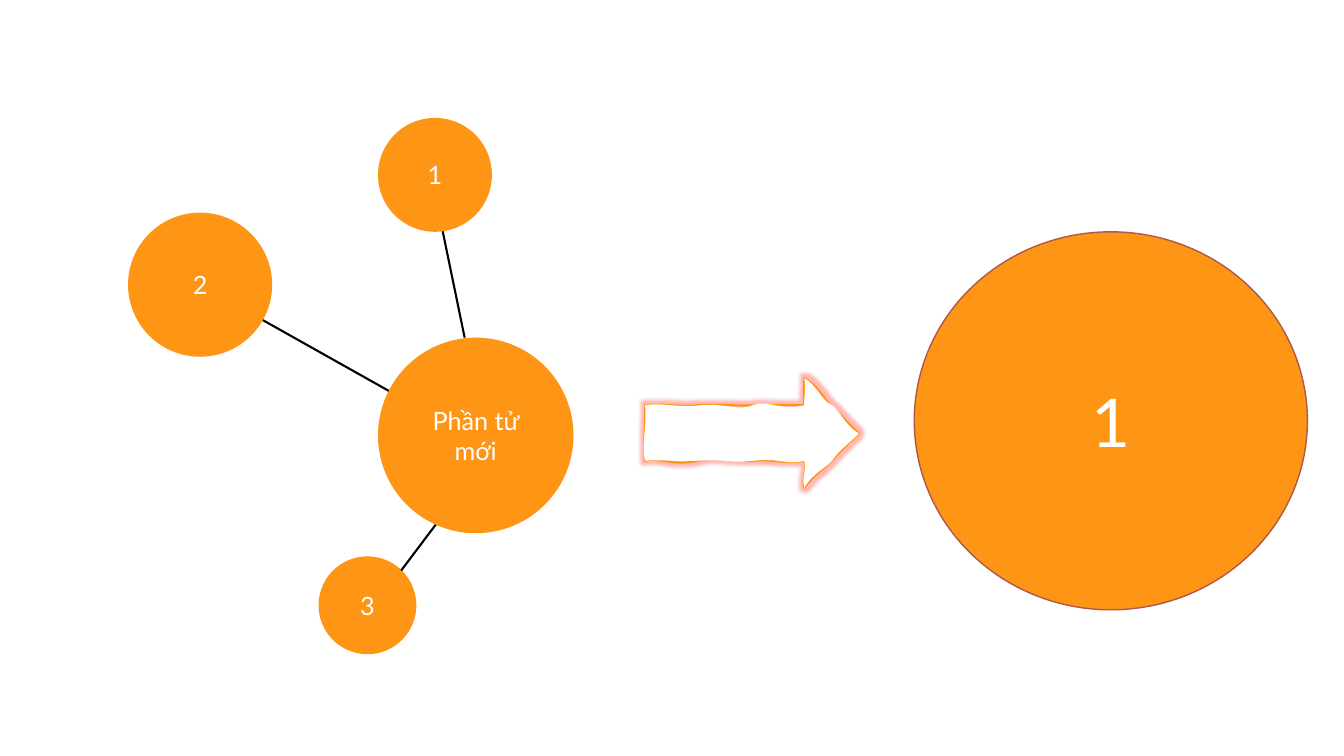
from lxml.etree import SubElement
from pptx import Presentation
from pptx.dml.color import RGBColor
from pptx.enum.shapes import MSO_CONNECTOR, MSO_SHAPE
from pptx.enum.text import MSO_ANCHOR, PP_ALIGN
from pptx.oxml.ns import qn
from pptx.util import Inches, Pt

ORANGE = RGBColor(0xFF, 0x95, 0x14)
BROWN = RGBColor(0xB0, 0x57, 0x48)
BLACK = RGBColor(0, 0, 0)
WHITE = RGBColor(0xFF, 0xFF, 0xFF)
GLOW = RGBColor(0xFF, 0x50, 0x44)

COLUMNS, ROWS = 133.33, 75

ARROW_START = (64, 40.2)
ARROW_OUTLINE = [
    (65.6, 40, 67.4, 40.4, 69.4, 40.2), (71.4, 40.1, 73.4, 40.3, 75, 40.2),
    (76.6, 40.2, 77.7, 40.2, 79.8, 40.2), (79.7, 39.1, 79.8, 38.4, 79.8, 37.5),
    (81.3, 38.5, 81.5, 39.2, 82.3, 40.1), (83.2, 40.9, 83.8, 41.7, 85.2, 43),
    (84.3, 43.9, 83.6, 44.5, 82.6, 45.6), (81.6, 46.7, 80.7, 47.1, 79.8, 48.4),
    (79.5, 47.3, 80.1, 46.8, 79.8, 45.7), (78.1, 46.1, 76.4, 45.5, 74.8, 45.7),
    (73.3, 45.9, 71.9, 45.1, 69.3, 45.7), (66.6, 46.3, 65.5, 45.3, 64, 45.7),
    (63.8, 43, 64.1, 42.7, 64, 40.2),
]
ARROW_INTERIOR = [
    (65.7, 39.9, 67.2, 40.5, 69.6, 40.2), (72, 40, 73.3, 40.8, 74.7, 40.2),
    (76, 39.6, 77.5, 40.8, 79.8, 40.2), (79.7, 39.6, 80, 38.7, 79.8, 37.5),
    (81.1, 38.3, 81.5, 39.7, 82.4, 40.1), (83.3, 40.6, 83.7, 42.1, 85.2, 43),
    (84.6, 43.7, 83.2, 44.7, 82.7, 45.5), (82.1, 46.4, 80.6, 46.9, 79.8, 48.4),
    (79.5, 47.2, 80, 46.9, 79.8, 45.7), (78.1, 46.2, 77.3, 45.4, 74.8, 45.7),
    (72.4, 46, 72, 45.5, 69.4, 45.7), (66.9, 45.8, 66, 45.6, 64, 45.7),
    (63.6, 44.3, 64.2, 42.3, 64, 40.2),
]


def write_text(shape, text, size=18, color=WHITE, font="Lato", align=PP_ALIGN.CENTER):
    """Write one formatted paragraph into a shape."""
    frame = shape.text_frame
    frame.word_wrap = True
    frame.vertical_anchor = MSO_ANCHOR.MIDDLE
    paragraph = frame.paragraphs[0]
    paragraph.alignment = align
    run = paragraph.add_run()
    run.text = text
    run.font.size = Pt(size)
    run.font.name = font
    run.font.color.rgb = color


class Board:
    """Hold the current slide, its grid and its element styles."""

    def __init__(self, presentation):
        self.slide = presentation.slides.add_slide(presentation.slide_layouts[6])
        self.column = presentation.slide_width / COLUMNS
        self.row = presentation.slide_height / ROWS

    def place(self, x, y):
        return round(x * self.column), round(y * self.row)

    def paint(self, shape, fill, line=None, width=1):
        shape.shadow.inherit = False
        shape.fill.solid()
        shape.fill.fore_color.rgb = fill
        if line is None:
            shape.line.fill.background()
        else:
            shape.line.color.rgb = line
            shape.line.width = Pt(width)

    def circle(self, shapes, text, center, width, height=None, size=18, line=None):
        height = height or width
        x, y = center
        shape = shapes.add_shape(
            MSO_SHAPE.OVAL,
            *self.place(x - width / 2, y - height / 2),
            *self.place(width, height),
        )
        self.paint(shape, ORANGE, line=line)
        write_text(shape, text, size=size)

    def link(self, shapes, start, end):
        connector = shapes.add_connector(
            MSO_CONNECTOR.STRAIGHT, *self.place(*start), *self.place(*end)
        )
        connector.line.color.rgb = BLACK
        connector.line.width = Pt(1.5)
        SubElement(connector._element.spPr, qn("a:effectLst"))

    def sketch(self, start, layers, fill, line, width):
        builder = self.slide.shapes.build_freeform(*self.place(*start))
        corners = [self.place(*curve[4:]) for curve in layers[0][0]]
        builder.add_line_segments(corners, close=True)
        shape = builder.convert_to_shape()
        self.paint(shape, fill, line=line, width=width)
        contours = next(shape._element.iter(qn("a:pathLst")))
        contours.remove(contours[0])
        for curves, options in layers:
            contour = SubElement(
                contours, qn("a:path"), w=str(shape.width), h=str(shape.height), **options
            )
            self.segment(contour, shape, "a:moveTo", start)
            for curve in curves:
                self.segment(contour, shape, "a:cubicBezTo", curve)
            SubElement(contour, qn("a:close"))
        return shape

    def segment(self, contour, shape, kind, values):
        segment = SubElement(contour, qn(kind))
        for point in zip(values[::2], values[1::2]):
            x, y = self.place(*point)
            SubElement(segment, qn("a:pt"), x=str(x - shape.left), y=str(y - shape.top))

    def glow(self, shape, color, radius):
        effects = shape._element.spPr.find(qn("a:effectLst"))
        glow = SubElement(effects, qn("a:glow"), rad=str(Pt(radius)))
        tint = SubElement(glow, qn("a:srgbClr"), val=str(color))
        SubElement(tint, qn("a:alpha"), val="40000")


def main():
    """Build the slide and save it."""
    presentation = Presentation()
    presentation.slide_width = Inches(13.33)
    presentation.slide_height = Inches(7.5)
    board = Board(presentation)
    cluster = board.slide.shapes.add_group_shape().shapes

    board.link(cluster, (24.9, 31.1), (39.5, 39.3))
    board.link(cluster, (43.7, 21.9), (46.1, 33.5))
    for text, center, diameter in [
        ("2", (19.85, 28.25), 14.3),
        ("1", (43.15, 17.35), 11.3),
        ("3", (36.45, 60.05), 9.7),
    ]:
        board.circle(cluster, text, center, diameter)
    board.link(cluster, (45.3, 49.3), (39.8, 56.6))
    board.circle(cluster, "Phần tử mới", (47.2, 43.2), 19.4)

    board.circle(
        board.slide.shapes, "1", (110.2, 41.75), 39, 37.5, size=48, line=BROWN
    )
    arrow = board.sketch(
        ARROW_START,
        [(ARROW_OUTLINE, {"fill": "none"}), (ARROW_INTERIOR, {"stroke": "0"})],
        fill=WHITE, line=ORANGE, width=1.5,
    )
    board.glow(arrow, GLOW, 5)

    presentation.save("out.pptx")


if __name__ == "__main__":
    main()
